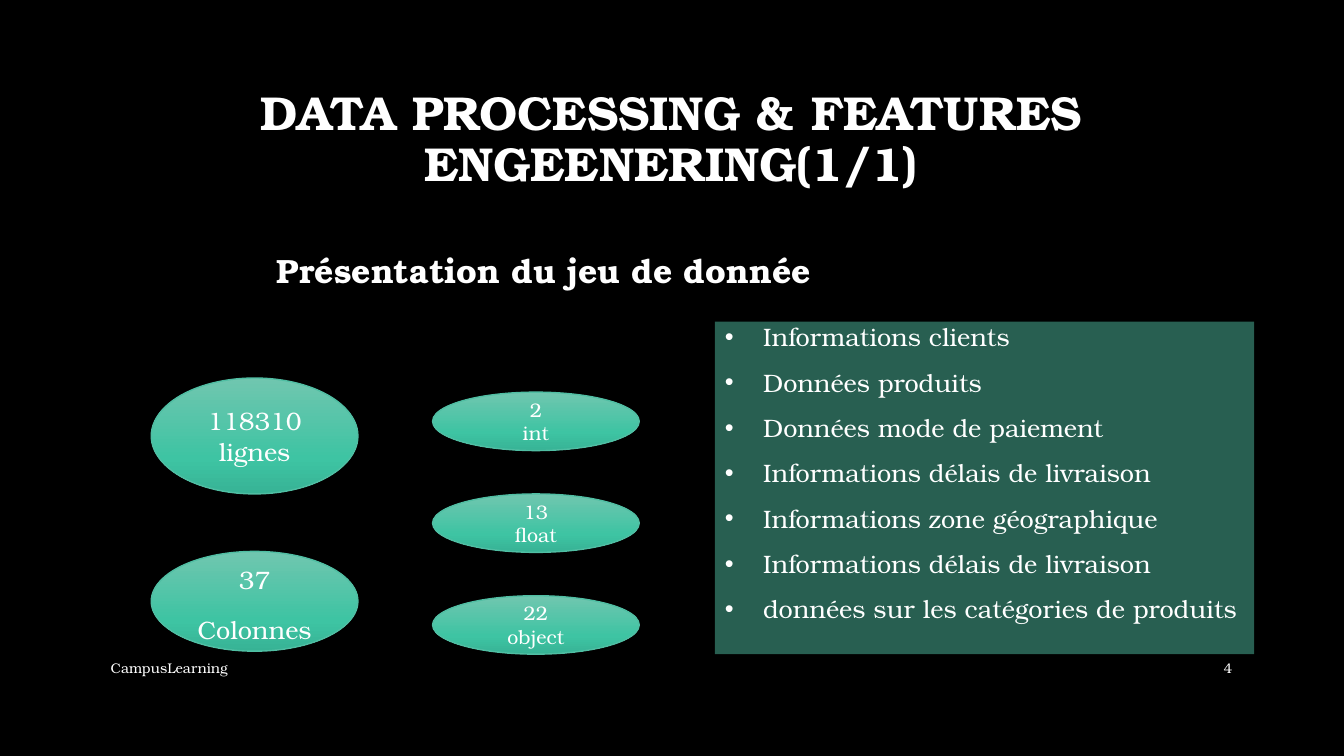
import copy

import pptx
import pptx.dml.color
import pptx.enum.shapes
import pptx.enum.text
import pptx.oxml.ns
import pptx.util

Inches = pptx.util.Inches
Pt = pptx.util.Pt
RGBColor = pptx.dml.color.RGBColor
ALIGN = pptx.enum.text.PP_ALIGN
ANCHOR = pptx.enum.text.MSO_ANCHOR
SHAPE = pptx.enum.shapes.MSO_SHAPE
qn = pptx.oxml.ns.qn

BLACK = RGBColor(0x00, 0x00, 0x00)
WHITE = RGBColor(0xFF, 0xFF, 0xFF)
GREEN = RGBColor(0x50, 0xBE, 0xA3)
GRADIENT = (
    (0, RGBColor(0x70, 0xC6, 0xAF)),
    (0.69, RGBColor(0x3E, 0xC4, 0xA3)),
    (1, RGBColor(0x37, 0xB3, 0x95)),
)
FONT = "TeX Gyre Bonum"

TOPICS = (
    "Informations clients",
    "Données produits",
    "Données mode de paiement",
    "Informations délais de livraison",
    "Informations zone géographique",
    "Informations délais de livraison",
    "données sur les catégories de produits",
)
COLUMN_TYPES = ("2\nint", "13\nfloat", "22\nobject")


class SlideBuilder:
    def __init__(self, presentation):
        self.slide = presentation.slides.add_slide(presentation.slide_layouts[5])
        background = self.slide.background.fill
        background.solid()
        background.fore_color.rgb = BLACK

    def set_text(self, shape, text, size, align=ALIGN.CENTER, bold=False,
                 anchor=ANCHOR.MIDDLE, line_spacing=None, space_before=0):
        frame = shape.text_frame
        frame.text = text
        frame.word_wrap = True
        frame.auto_size = pptx.enum.text.MSO_AUTO_SIZE.NONE
        frame.vertical_anchor = anchor
        for paragraph in frame.paragraphs:
            paragraph.alignment = align
            paragraph.line_spacing = line_spacing
            paragraph.space_before = Pt(space_before)
            for run in paragraph.runs:
                run.font.name = FONT
                run.font.size = Pt(size)
                run.font.bold = bold
                run.font.color.rgb = WHITE

    def title(self, text, left, top, width, height):
        title = self.slide.shapes.title
        title.left, title.top = Inches(left), Inches(top)
        title.width, title.height = Inches(width), Inches(height)
        self.set_text(title, text, 34, bold=True, line_spacing=0.9)

    def label(self, text, left, top, width, height, size, **style):
        box = self.slide.shapes.add_textbox(
            Inches(left), Inches(top), Inches(width), Inches(height))
        self.set_text(box, text, size, **style)

    def shape(self, kind, left, top, width, height):
        shape = self.slide.shapes.add_shape(
            kind, Inches(left), Inches(top), Inches(width), Inches(height))
        shape.shadow.inherit = False
        return shape

    def ellipse(self, text, left, top, height, size, **style):
        ellipse = self.shape(SHAPE.OVAL, left, top, 2.05, height)
        ellipse.fill.gradient()
        ellipse.fill.gradient_angle = 270
        stop_list = ellipse.element.spPr.find(qn("a:gradFill")).find(qn("a:gsLst"))
        stop_list.append(copy.deepcopy(stop_list[-1]))
        for stop, (position, color) in zip(ellipse.fill.gradient_stops, GRADIENT):
            stop.position = position
            stop.color.rgb = color
        ellipse.line.color.rgb = GREEN
        ellipse.line.width = Pt(1)
        self.set_text(ellipse, text, size, **style)

    def bullet_panel(self, items, left, top, width, height):
        panel = self.shape(SHAPE.RECTANGLE, left, top, width, height)
        panel.fill.solid()
        panel.fill.fore_color.rgb = GREEN
        color = panel.element.spPr.find(qn("a:solidFill"))[0]
        color.append(color.makeelement(qn("a:alpha"), {"val": "50000"}))
        panel.line.fill.background()
        self.set_text(panel, "\n".join(items), 18, ALIGN.LEFT, line_spacing=1.5)
        panel.text_frame.margin_bottom = Inches(0.5)
        for paragraph in panel.text_frame.paragraphs:
            properties = paragraph._p.get_or_add_pPr()
            properties.set("marL", str(Inches(0.38)))
            properties.set("indent", str(-Inches(0.38)))
            properties.append(properties.makeelement(qn("a:buFont"), {"typeface": "Arial"}))
            properties.append(properties.makeelement(qn("a:buChar"), {"char": "•"}))


def main():
    presentation = pptx.Presentation()
    presentation.slide_width = Inches(13.33)
    presentation.slide_height = Inches(7.5)

    builder = SlideBuilder(presentation)
    builder.title("DATA PROCESSING & FEATURES ENGEENERING(1/1)", 1, 0.67, 11.32, 1.45)
    builder.label("Présentation du jeu de donnée", 1.25, 2.28, 8.29, 0.65, 24,
                  bold=True, anchor=ANCHOR.BOTTOM, space_before=10)
    builder.label("CampusLearning", 1, 6.43, 7.3, 0.4, 10, align=ALIGN.LEFT)
    builder.label("4", 11.5, 6.43, 0.82, 0.4, 10, align=ALIGN.RIGHT)

    builder.ellipse("118310\nlignes", 1.5, 3.75, 1.15, 18)
    builder.ellipse("37\nColonnes", 1.5, 5.47, 0.99, 18, line_spacing=1.2, space_before=10)
    for row, text in enumerate(COLUMN_TYPES):
        builder.ellipse(text, 4.29, 3.89 + row * 1.01, 0.58, 14)
    builder.bullet_panel(TOPICS, 7.09, 3.19, 5.35, 3.3)

    presentation.save("out.pptx")


if __name__ == "__main__":
    main()
